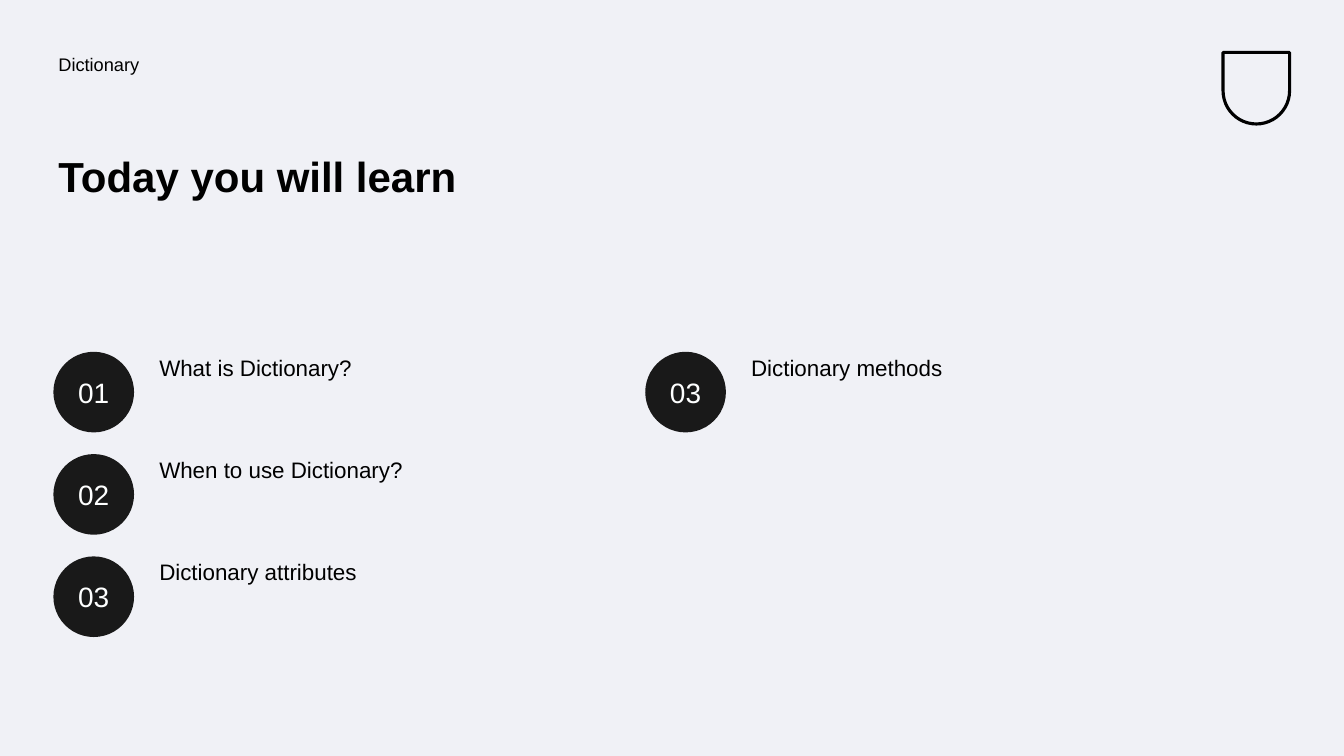
import pptx
import pptx.dml.color
import pptx.enum.shapes
import pptx.enum.text
import pptx.util
from dataclasses import dataclass

Inches = pptx.util.Inches
Pt = pptx.util.Pt
Shape = pptx.enum.shapes.MSO_SHAPE
Anchor = pptx.enum.text.MSO_ANCHOR
Align = pptx.enum.text.PP_ALIGN


def rgb(code):
    return pptx.dml.color.RGBColor.from_string(code)


@dataclass(frozen=True)
class Theme:
    font: str = "Arial"
    back: str = "F0F1F6"
    ink: str = "000000"
    disc: str = "191919"
    light: str = "FEFFFF"
    label: int = 13
    title: int = 30
    item: int = 16
    number: int = 20


THEME = Theme()


def write(shape, text, size, color, bold=False, align=Align.LEFT,
          anchor=Anchor.TOP, gap=0, lead=0.9):
    frame = shape.text_frame
    frame.word_wrap = True
    frame.auto_size = pptx.enum.text.MSO_AUTO_SIZE.NONE
    frame.vertical_anchor = anchor
    frame.margin_left = frame.margin_right = Inches(0.05)
    frame.margin_top = frame.margin_bottom = Inches(0.05)
    frame.text = text
    para = frame.paragraphs[0]
    para.alignment = align
    para.line_spacing = lead
    para.space_before = Pt(gap)
    para.font.name = THEME.font
    para.font.size = Pt(size)
    para.font.bold = bold
    para.font.color.rgb = rgb(color)


def header(slide, left, top, width):
    label = slide.shapes.add_textbox(
        Inches(left), Inches(top), Inches(width), Inches(0.5))
    write(label, "Dictionary", THEME.label, THEME.ink, gap=10)
    title = slide.shapes.title
    title.left, title.top = Inches(left), Inches(top + 1)
    title.width, title.height = Inches(width - 0.5), Inches(1.49)
    write(title, "Today you will learn", THEME.title, THEME.ink, bold=True)


def badge(slide, left, top, width, height):
    shield = slide.shapes.add_shape(
        Shape.ROUND_2_SAME_RECTANGLE,
        Inches(left), Inches(top), Inches(width), Inches(height))
    shield.adjustments[0] = 0.5
    shield.rotation = 180
    shield.shadow.inherit = False
    shield.fill.background()
    shield.line.color.rgb = rgb(THEME.ink)
    shield.line.width = Pt(2.25)


def entry(slide, left, top, number, text):
    size = 0.8
    disc = slide.shapes.add_shape(
        Shape.OVAL, Inches(left), Inches(top), Inches(size), Inches(size))
    disc.shadow.inherit = False
    disc.fill.solid()
    disc.fill.fore_color.rgb = rgb(THEME.disc)
    disc.line.fill.background()
    write(disc, number, THEME.number, THEME.light,
          align=Align.CENTER, anchor=Anchor.MIDDLE, lead=1.0)
    box = slide.shapes.add_textbox(
        Inches(left + 1), Inches(top), Inches(4.63), Inches(0.99))
    write(box, text, THEME.item, THEME.ink, gap=10)


def agenda(slide, left, top, columns):
    for col, rows in enumerate(columns):
        for row, (number, text) in enumerate(rows):
            entry(slide, left + col * 5.87, top + row * 1.015, number, text)


def main():
    deck = pptx.Presentation()
    deck.slide_width, deck.slide_height = Inches(13.33), Inches(7.5)
    slide = deck.slides.add_slide(deck.slide_layouts[5])
    slide.background.fill.solid()
    slide.background.fill.fore_color.rgb = rgb(THEME.back)
    badge(slide, 12.13, 0.52, 0.66, 0.71)
    header(slide, 0.53, 0.5, 6.14)
    agenda(slide, 0.53, 3.49, [
        [("01", "What is Dictionary?"),
         ("02", "When to use Dictionary?"),
         ("03", "Dictionary attributes")],
        [("03", "Dictionary methods")],
    ])
    deck.save("out.pptx")


if __name__ == "__main__":
    main()
